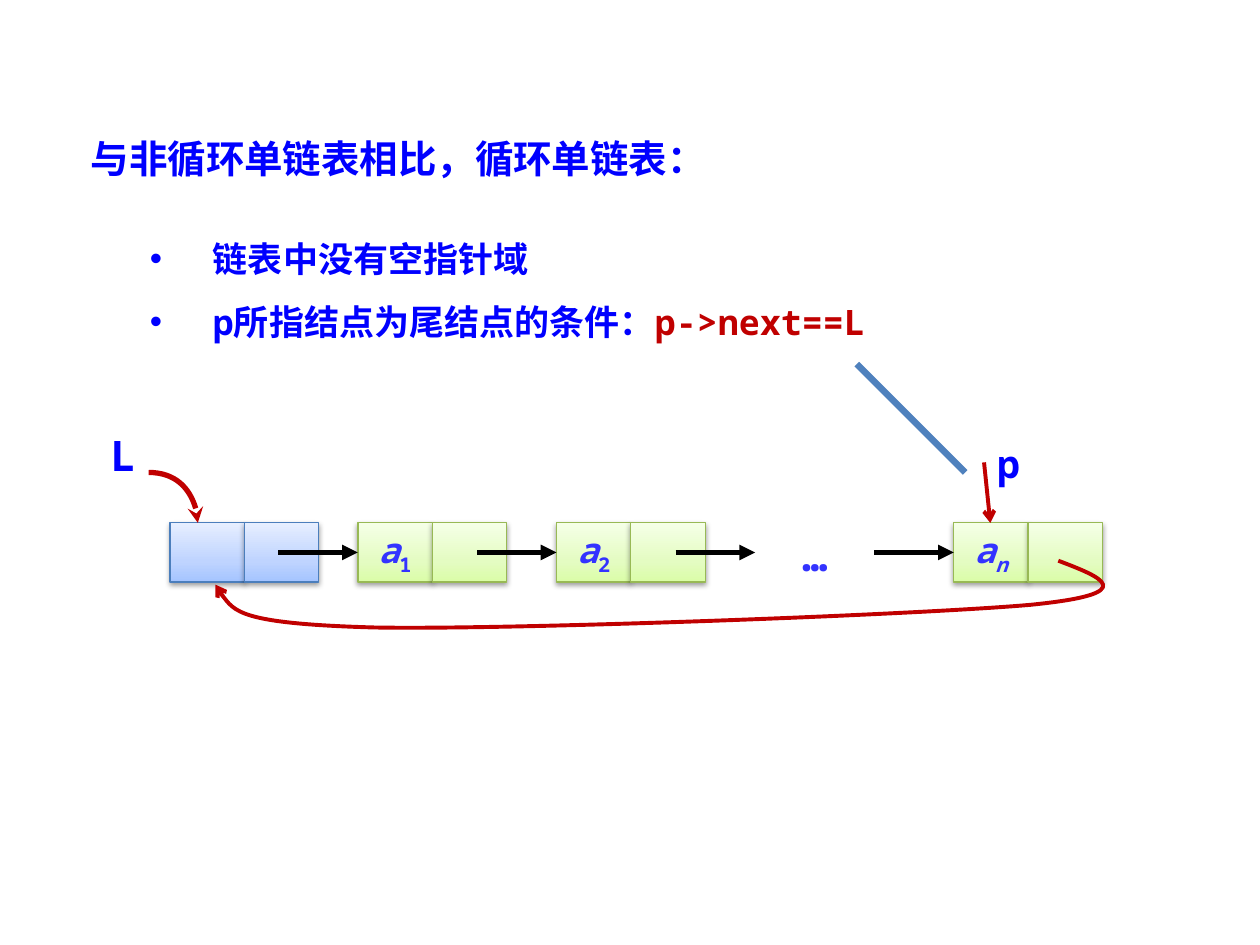
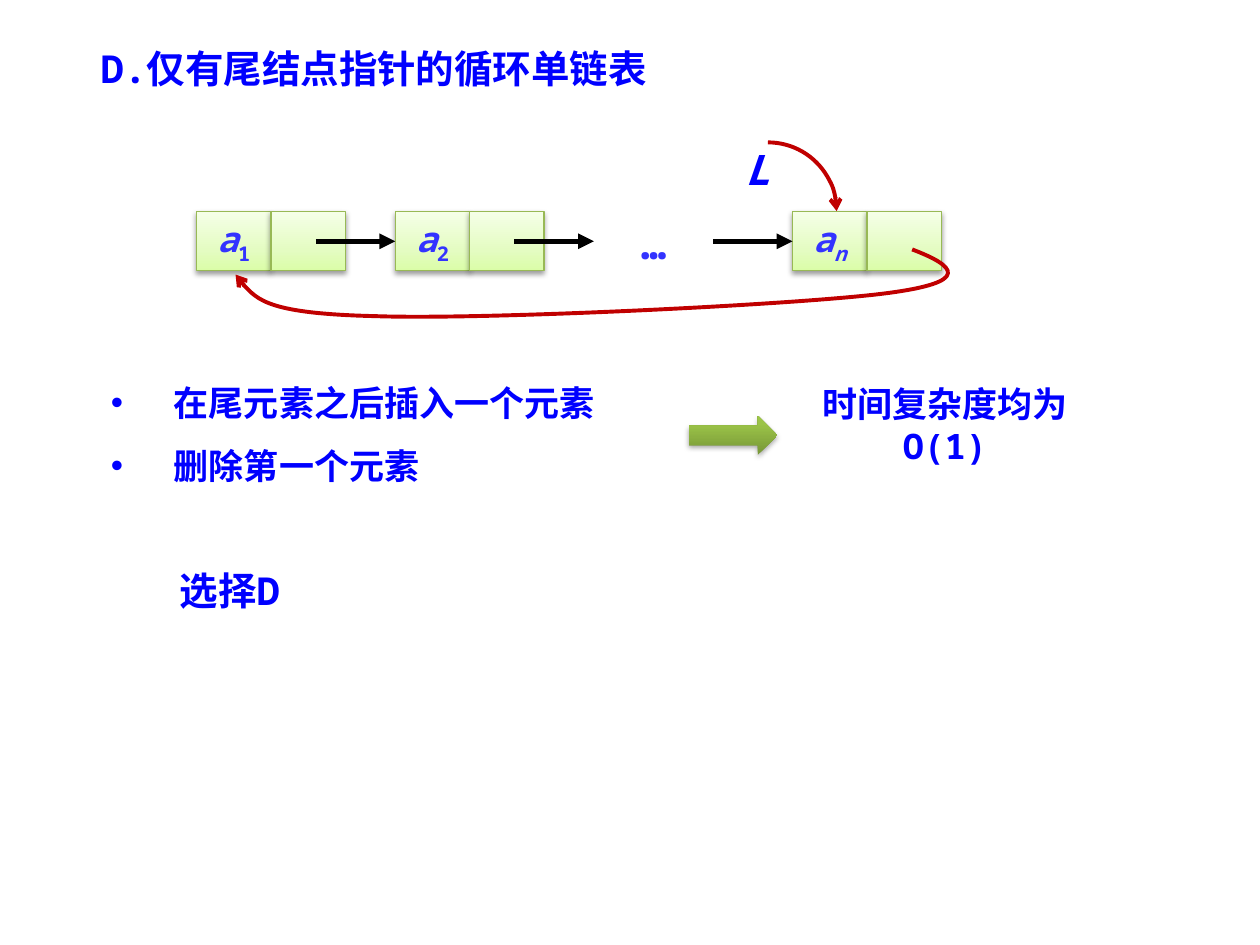
from dataclasses import dataclass

from lxml.etree import SubElement
from pptx import Presentation
from pptx.dml.color import RGBColor
from pptx.enum.shapes import MSO_CONNECTOR as Connector, MSO_SHAPE as Shape
from pptx.enum.text import MSO_ANCHOR as Anchor, MSO_AUTO_SIZE as AutoSize, PP_ALIGN as Align
from pptx.oxml.ns import qn
from pptx.util import Inches, Pt


@dataclass(frozen=True)
class Theme:
    font: str = "Noto Sans Mono"
    blue: str = "0000FF"
    data: str = "3333FF"
    red: str = "C00000"
    black: str = "000000"
    callout: str = "4F81BD"
    head_line: str = "4B7EBC"
    node_line: str = "98B955"
    head_stops: tuple = ((0, "A4C4FF"), (35, "BFD4FF"), (100, "E6EEFF"))
    node_stops: tuple = ((0, "DAFDA7"), (35, "E4FCC2"), (100, "F5FFE7"))
    arrow_stops: tuple = ((0, "779737"), (80, "9BC348"), (100, "9DC746"))
    title_size: int = 22
    body_size: int = 20
    label_size: int = 24


THEME = Theme()
CELL_WIDTH, CELL_HEIGHT = 0.59, 0.47
NODE_PITCH = 4.73 / 3
LINK_LENGTH = 0.63


def inches(*lengths):
    return [Inches(length) for length in lengths]


def write_text(frame, paragraphs, size=THEME.body_size, color=THEME.blue, italic=False,
               align=Align.LEFT, line_spacing=None, hanging=None, anchor=Anchor.TOP, wrap=True):
    """Fill a frame; a paragraph is a list of (text, overrides) runs."""
    frame.auto_size = AutoSize.NONE
    frame.word_wrap = wrap
    frame.vertical_anchor = anchor
    for index, runs in enumerate(paragraphs):
        paragraph = frame.add_paragraph() if index else frame.paragraphs[0]
        if hanging:
            properties = paragraph._p.get_or_add_pPr()
            properties.set("marL", str(Inches(hanging)))
            properties.set("indent", str(-Inches(hanging)))
        paragraph.alignment = align
        paragraph.space_before = Pt(0)
        if line_spacing:
            paragraph.line_spacing = line_spacing
        for text, overrides in runs:
            run = paragraph.add_run()
            run.text = text
            font = run.font
            font.size, font.bold = Pt(size), True
            font.italic = overrides.get("italic", italic)
            font.color.rgb = RGBColor.from_string(overrides.get("color", color))
            font.name = THEME.font
            properties = run._r.get_or_add_rPr()
            SubElement(properties, qn("a:ea"), typeface=THEME.font)
            if overrides.get("subscript"):
                properties.set("baseline", "-25000")


def place(shape, box):
    shape.left, shape.top, shape.width, shape.height = inches(*box)


def add_title(slide, text, box):
    place(slide.shapes.title, box)
    write_text(slide.shapes.title.text_frame, [[(text, {})]], size=THEME.title_size)


def add_bullets(slide, paragraphs, box):
    body = slide.placeholders[1]
    place(body, box)
    write_text(body.text_frame, paragraphs, line_spacing=1.5, hanging=0.5)


def add_label(slide, text, box, **text_format):
    label = slide.shapes.add_textbox(*inches(*box))
    write_text(label.text_frame, [[(text, {})]], **text_format)


def style_line(shape, color, width, head=None):
    shape.line.color.rgb = RGBColor.from_string(color)
    shape.line.width = Pt(width)
    if head:
        SubElement(shape._element.spPr.find(qn("a:ln")), qn("a:tailEnd"), type=head)


def add_line(slide, start, end, color, width, head=None):
    line = slide.shapes.add_connector(Connector.STRAIGHT, *inches(*start, *end))
    style_line(line, color, width, head)
    SubElement(line._element.spPr, qn("a:effectLst"))


def add_curve(slide, points, width, head):
    """Draw cubic curves: a start, then two controls and an end per curve."""
    start, *rest = [inches(*point) for point in points]
    builder = slide.shapes.build_freeform(*start)
    builder.add_line_segments(rest, close=False)
    curve = builder.convert_to_shape()
    outline = next(curve._element.iter(qn("a:path")))
    segments = outline.findall(qn("a:lnTo"))
    for first in range(0, len(segments), 3):
        bezier = SubElement(outline, qn("a:cubicBezTo"))
        for segment in segments[first:first + 3]:
            bezier.append(segment[0])
            outline.remove(segment)
    curve.fill.background()
    curve.shadow.inherit = False
    style_line(curve, THEME.red, width, head)


def add_shaded_shape(slide, kind, box, stops, line_color=None, shadow_alpha=38):
    """Add a shape with an upward gradient and a soft shadow below it."""
    shape = slide.shapes.add_shape(kind, *inches(*box))
    shape.fill.gradient()
    shape.fill.gradient_angle = 90
    stop_list = next(shape._element.spPr.iter(qn("a:gsLst")))
    for stop in list(stop_list):
        stop_list.remove(stop)
    for position, color in stops:
        stop = SubElement(stop_list, qn("a:gs"), pos=str(position * 1000))
        SubElement(stop, qn("a:srgbClr"), val=color)
    if line_color:
        style_line(shape, line_color, 0.75)
    else:
        shape.line.fill.background()
    shape.shadow.inherit = False
    effects = shape._element.spPr.find(qn("a:effectLst"))
    shadow = SubElement(effects, qn("a:outerShdw"), blurRad=str(Pt(3.1)), dist=str(Pt(1.6)),
                        dir="5400000", rotWithShape="0")
    shadow_color = SubElement(shadow, qn("a:srgbClr"), val=THEME.black)
    SubElement(shadow_color, qn("a:alpha"), val=str(shadow_alpha * 1000))
    return shape


def add_node(slide, left, top, stops, line_color, subscript=None):
    """Draw a data cell and a pointer cell side by side."""
    data_cell, _ = [
        add_shaded_shape(slide, Shape.RECTANGLE,
                         (left + column * CELL_WIDTH, top, CELL_WIDTH, CELL_HEIGHT),
                         stops, line_color)
        for column in range(2)]
    if subscript:
        runs = [("a", {}), (subscript, {"subscript": True, "italic": subscript == "n"})]
        write_text(data_cell.text_frame, [runs], color=THEME.data, italic=True,
                   align=Align.CENTER, anchor=Anchor.MIDDLE, wrap=False)


def add_linked_list(slide, left, top, head_left=None):
    """Draw a1, a2, ..., an from left, after an optional head node."""
    slots = [left + index * NODE_PITCH for index in range(4)]
    if head_left is not None:
        add_node(slide, head_left, top, THEME.head_stops, THEME.head_line)
    for slot, subscript in zip(slots, ("1", "2", None, "n")):
        if subscript:
            add_node(slide, slot, top, THEME.node_stops, THEME.node_line, subscript)
        else:
            add_label(slide, "…", (slot + 0.16, top, 0.63, 0.5), size=THEME.label_size,
                      color=THEME.data, align=Align.CENTER)
    middle = top + CELL_HEIGHT / 2
    for slot in slots[1:] if head_left is None else slots:
        add_line(slide, (slot - LINK_LENGTH, middle), (slot, middle), THEME.black, 3, "triangle")


def build_comparison(slide):
    add_bullets(slide, [
        [("链表中没有空指针域", {})],
        [("p所指结点为尾结点的条件：", {}), ("p->next==L", {"color": THEME.red})],
    ], (1.09, 1.67, 6.95, 1.11))
    add_title(slide, "与非循环单链表相比，循环单链表：", (0.62, 1.02, 6.64, 0.47))
    add_linked_list(slide, 2.84, 4.15, head_left=1.35)
    add_curve(slide, [(1.18, 3.75), (1.39, 3.75), (1.57, 3.93), (1.57, 4.15)], 3, "stealth")
    add_label(slide, "L", (0.78, 3.36, 0.47, 0.5), size=THEME.label_size)
    add_curve(slide, [(8.4, 4.45), (8.74, 4.58), (9.08, 4.71), (8.18, 4.8),
                      (7.27, 4.88), (4.05, 5), (2.97, 4.98),
                      (1.89, 4.95), (1.8, 4.8), (1.71, 4.64)], 2.25, "arrow")
    add_line(slide, (7.81, 3.67), (7.86, 4.15), THEME.red, 2.25, "arrow")
    add_label(slide, "p", (7.81, 3.44, 0.39, 0.47), size=THEME.title_size, align=Align.CENTER)
    add_line(slide, (6.8, 2.89), (7.66, 3.75), THEME.callout, 3.75)


def build_tail_pointer(slide):
    add_title(slide, "D.仅有尾结点指针的循环单链表", (0.7, 0.31, 5, 0.47))
    tail_arc = slide.shapes.add_shape(Shape.ARC, *inches(5.55, 1.13, 1.09, 1.09))
    tail_arc.fill.background()
    tail_arc.shadow.inherit = False
    style_line(tail_arc, THEME.red, 2.25, "arrow")
    add_linked_list(slide, 1.56, 1.68)
    add_curve(slide, [(7.24, 1.98), (7.58, 2.11), (7.73, 2.24), (7.02, 2.33),
                      (6.31, 2.42), (3.84, 2.54), (2.98, 2.51),
                      (2.13, 2.49), (1.97, 2.33), (1.87, 2.18)], 2.25, "arrow")
    add_label(slide, "L", (5.78, 1.09, 0.47, 0.5), size=THEME.label_size, italic=True,
              align=Align.CENTER)
    add_bullets(slide, [[("在尾元素之后插入一个元素", {})], [("删除第一个元素", {})]],
                (0.78, 2.81, 4.92, 1.05))
    add_shaded_shape(slide, Shape.RIGHT_ARROW, (5.47, 3.3, 0.7, 0.31), THEME.arrow_stops,
                     shadow_alpha=35)
    add_label(slide, "时间复杂度均为O(1)", (6.33, 2.99, 2.34, 0.77), align=Align.CENTER)
    add_label(slide, "选择D", (1.33, 4.45, 1.72, 0.47), size=THEME.title_size)


def main():
    presentation = Presentation()
    presentation.slide_width, presentation.slide_height = inches(10, 7.5)
    title_and_content = presentation.slide_layouts[1]
    for build in (build_comparison, build_tail_pointer):
        build(presentation.slides.add_slide(title_and_content))
    presentation.save("out.pptx")


if __name__ == "__main__":
    main()
